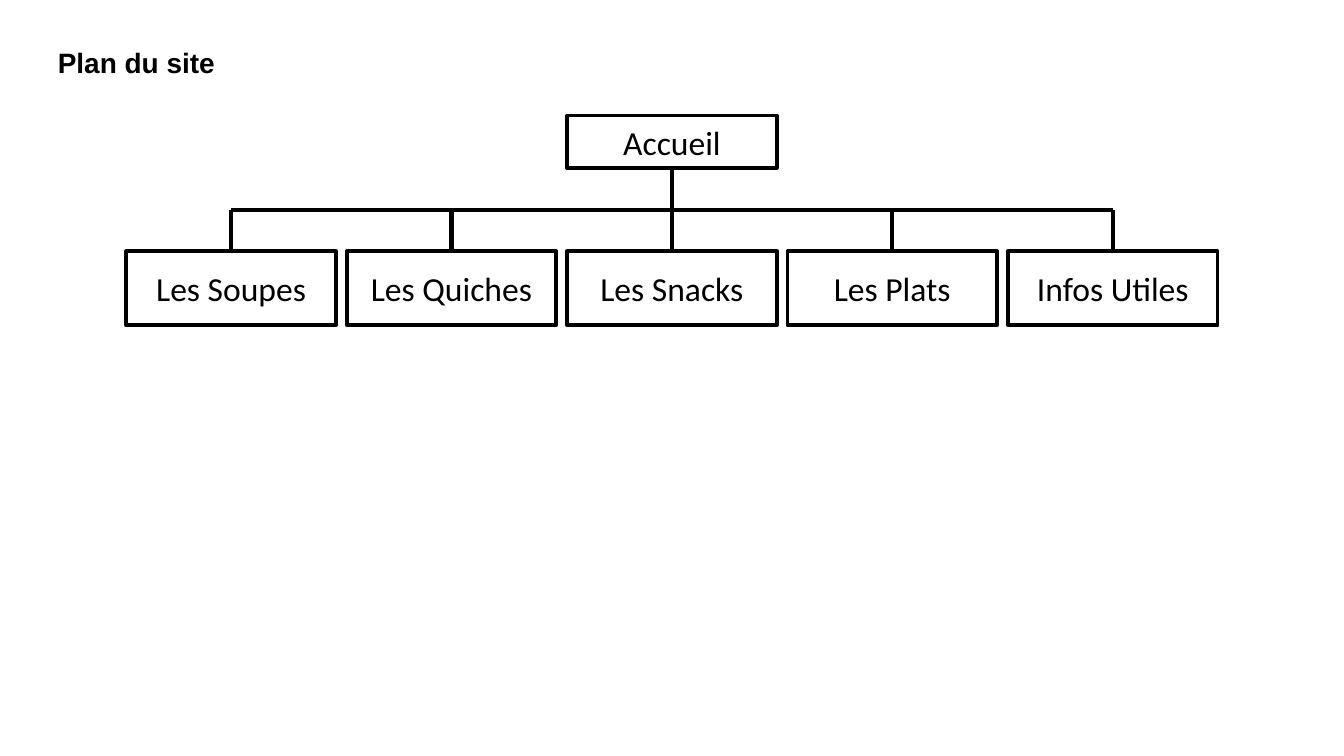
from dataclasses import dataclass

from lxml import etree
from pptx import Presentation
from pptx import util as u
from pptx.dml import color
from pptx.enum import shapes, text
from pptx.oxml import ns

SLIDE_WIDTH = 10
SLIDE_HEIGHT = SLIDE_WIDTH * 9 / 16
BLACK = "000000"
WHITE = "FFFFFF"
PAGE_WIDTH = 1.56
PAGE_PITCH = 1.64
FIRST_LEFT = 0.94
PAGE_TOP = 1.87
PAGE_HEIGHT = 0.55
HOME_TOP = 0.86
HOME_HEIGHT = 0.39
BRANCH_Y = 1.56
PAGE_NAMES = ["Les Soupes", "Les Quiches", "Les Snacks", "Les Plats", "Infos Utiles"]


@dataclass
class Page:
    name: str
    left: float
    top: float
    height: float

    @property
    def center(self) -> float:
        return self.left + PAGE_WIDTH / 2

    @property
    def bottom(self) -> float:
        return self.top + self.height


def rgb(value: str) -> color.RGBColor:
    return color.RGBColor.from_string(value)


def write(shape, content: str, font: str, size: float, bold: bool = False) -> None:
    frame = shape.text_frame
    frame.word_wrap = True
    frame.vertical_anchor = text.MSO_ANCHOR.MIDDLE
    frame.margin_left = frame.margin_right = u.Inches(0.05)
    frame.margin_top = frame.margin_bottom = u.Inches(0.03)
    paragraph = frame.paragraphs[0]
    paragraph.alignment = text.PP_ALIGN.CENTER
    run = paragraph.add_run()
    run.text = content
    run.font.name = font
    run.font.size = u.Pt(size)
    run.font.bold = bold
    run.font.color.rgb = rgb(BLACK)


def draw_line(slide, x1: float, y1: float, x2: float, y2: float) -> None:
    connector = slide.shapes.add_connector(
        shapes.MSO_CONNECTOR.STRAIGHT,
        u.Inches(x1), u.Inches(y1), u.Inches(x2), u.Inches(y2),
    )
    connector.line.color.rgb = rgb(BLACK)
    connector.line.width = u.Pt(2.25)
    etree.SubElement(connector.element.spPr, ns.qn("a:effectLst"))


def draw_page(slide, page: Page) -> None:
    shape = slide.shapes.add_shape(
        shapes.MSO_SHAPE.RECTANGLE,
        u.Inches(page.left), u.Inches(page.top),
        u.Inches(PAGE_WIDTH), u.Inches(page.height),
    )
    shape.shadow.inherit = False
    shape.fill.solid()
    shape.fill.fore_color.rgb = rgb(WHITE)
    shape.line.color.rgb = rgb(BLACK)
    shape.line.width = u.Pt(2)
    write(shape, page.name, "Calibri", 18)


def main() -> None:
    presentation = Presentation()
    presentation.slide_width = u.Inches(SLIDE_WIDTH)
    presentation.slide_height = u.Inches(SLIDE_HEIGHT)
    slide = presentation.slides.add_slide(presentation.slide_layouts[6])

    title = slide.shapes.add_textbox(
        u.Inches(0.31), u.Inches(0.23), u.Inches(1.41), u.Inches(0.47)
    )
    write(title, "Plan du site", "Arial", 15, bold=True)

    pages = [
        Page(name, FIRST_LEFT + index * PAGE_PITCH, PAGE_TOP, PAGE_HEIGHT)
        for index, name in enumerate(PAGE_NAMES)
    ]
    home = Page("Accueil", pages[len(pages) // 2].left, HOME_TOP, HOME_HEIGHT)

    for page in [home, *pages]:
        draw_page(slide, page)
    draw_line(slide, home.center, home.bottom, home.center, BRANCH_Y)
    draw_line(slide, pages[0].center, BRANCH_Y, pages[-1].center, BRANCH_Y)
    for page in pages:
        draw_line(slide, page.center, BRANCH_Y, page.center, page.top)

    presentation.save("out.pptx")


if __name__ == "__main__":
    main()
